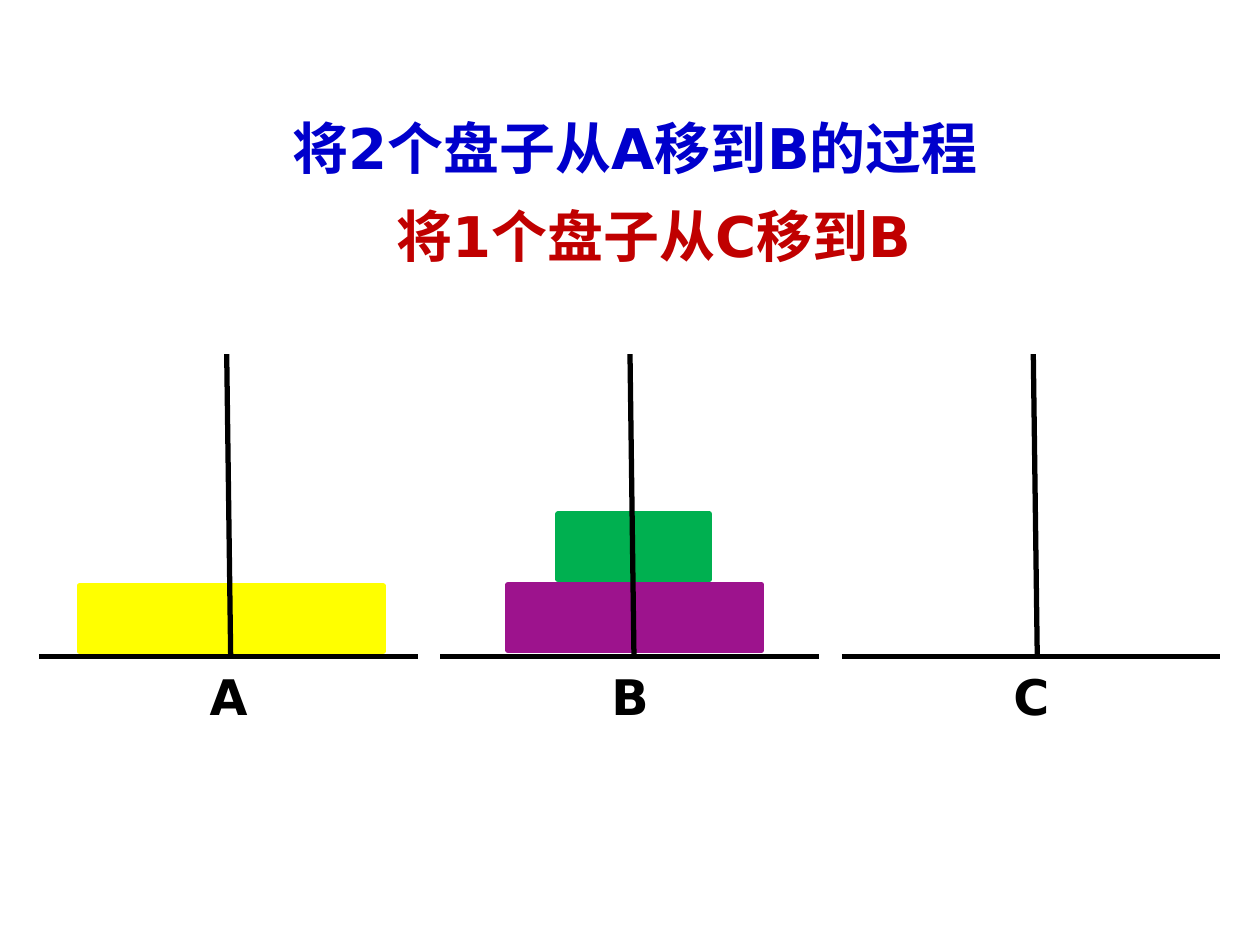
from typing import NamedTuple

from pptx import Presentation
from pptx.dml.color import RGBColor
from pptx.enum.shapes import MSO_CONNECTOR as Connector, MSO_SHAPE as Preset
from pptx.enum.text import PP_ALIGN as Align
from pptx.oxml.ns import qn
from pptx.slide import Slide
from pptx.util import Cm, Pt

FONT = "DejaVu Sans"
BLACK = "000000"
LINE_WIDTH = Pt(3)

PEG_NAMES = "ABC"
GROUND = 13.23
BASE_LEFT, BASE_LENGTH, BASE_PITCH = 0.79, 7.63, 8.09
POLE_FOOT, POLE_TIP, POLE_TOP, POLE_PITCH = 4.65, 4.57, 7.14, 8.13
DISC_HEIGHT = 1.32


class Disc(NamedTuple):
    left: float
    top: float
    width: float
    color: str


class Caption(NamedTuple):
    text: str
    left: float
    top: float
    width: float
    height: float
    size: int
    color: str
    space_before: int
    inset_top: float


DISCS = [
    Disc(1.6, 11.81, 6.12, "FFFF00"),
    Disc(10.24, 11.79, 5.11, "9D138D"),
    Disc(11.25, 10.36, 3.05, "00B050"),
]
TITLES = [
    Caption("将2个盘子从A移到B的过程", 4.37, 2.18, 16.87, 1.78, 32, "0000CC", 8, 0.61),
    Caption("将1个盘子从C移到B", 6.93, 3.96, 12.5, 1.78, 32, "C00000", 8, 0.61),
]


def rgb(color: str) -> RGBColor:
    return RGBColor.from_string(color)


def apply_format(target: object, values: dict[str, object]) -> None:
    for name, value in values.items():
        setattr(target, name, value)


def draw_line(slide: Slide, x1: float, y1: float, x2: float, y2: float) -> None:
    line = slide.shapes.add_connector(
        Connector.STRAIGHT, Cm(x1), Cm(y1), Cm(x2), Cm(y2))
    line.line.color.rgb = rgb(BLACK)
    line.line.width = LINE_WIDTH
    properties = line._element.spPr
    properties.append(properties.makeelement(qn("a:effectLst"), {}))


def draw_disc(slide: Slide, disc: Disc) -> None:
    shape = slide.shapes.add_shape(
        Preset.FLOWCHART_PROCESS,
        Cm(disc.left), Cm(disc.top), Cm(disc.width), Cm(DISC_HEIGHT))
    shape.shadow.inherit = False
    shape.fill.solid()
    shape.fill.fore_color.rgb = rgb(disc.color)
    shape.line.color.rgb = rgb(disc.color)
    shape.line.width = LINE_WIDTH


def draw_caption(slide: Slide, caption: Caption) -> None:
    box = slide.shapes.add_textbox(
        Cm(caption.left), Cm(caption.top), Cm(caption.width), Cm(caption.height))
    frame = box.text_frame
    apply_format(frame, {"word_wrap": True, "margin_top": Cm(caption.inset_top)})
    paragraph = frame.paragraphs[0]
    apply_format(paragraph, {
        "text": caption.text,
        "alignment": Align.CENTER,
        "line_spacing": Pt(24),
        "space_before": Pt(caption.space_before),
    })
    font = paragraph.runs[0].font
    apply_format(font, {"name": FONT, "size": Pt(caption.size), "bold": True})
    font.color.rgb = rgb(caption.color)


def main() -> None:
    presentation = Presentation()
    apply_format(presentation, {"slide_width": Cm(25.4), "slide_height": Cm(19.05)})
    slide = presentation.slides.add_slide(presentation.slide_layouts[6])

    for index, name in enumerate(PEG_NAMES):
        offset = index * BASE_PITCH
        left = BASE_LEFT + offset
        draw_line(slide, left, GROUND, left + BASE_LENGTH, GROUND)
        draw_caption(slide, Caption(
            name, 3.63 + offset, 13.64, 1.96, 1.24, 28, BLACK, 7, 0.13))
    for disc in DISCS:
        draw_disc(slide, disc)
    for index in range(len(PEG_NAMES)):
        offset = index * POLE_PITCH
        draw_line(slide, POLE_FOOT + offset, GROUND, POLE_TIP + offset, POLE_TOP)
    for title in TITLES:
        draw_caption(slide, title)

    presentation.save("out.pptx")


if __name__ == "__main__":
    main()
